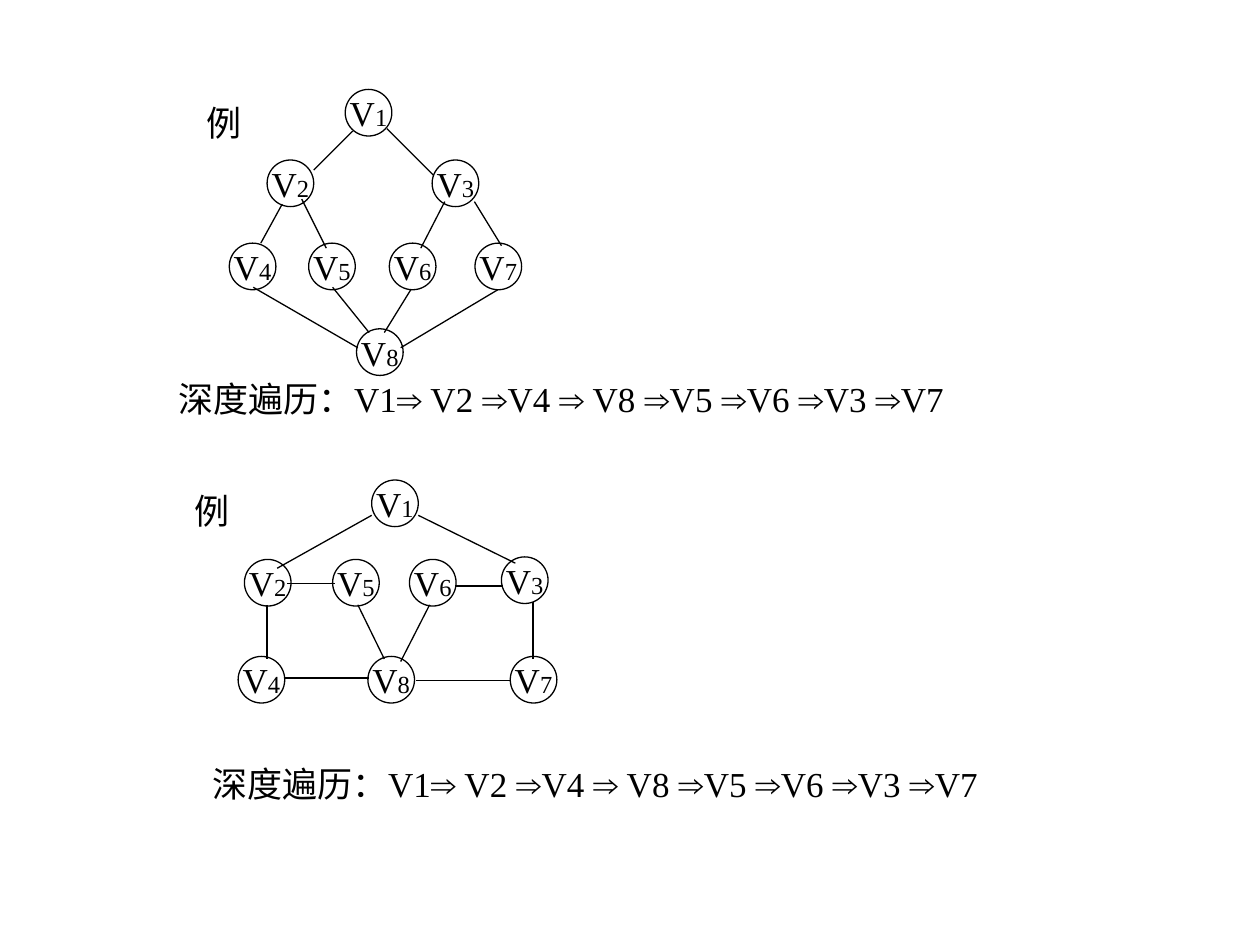
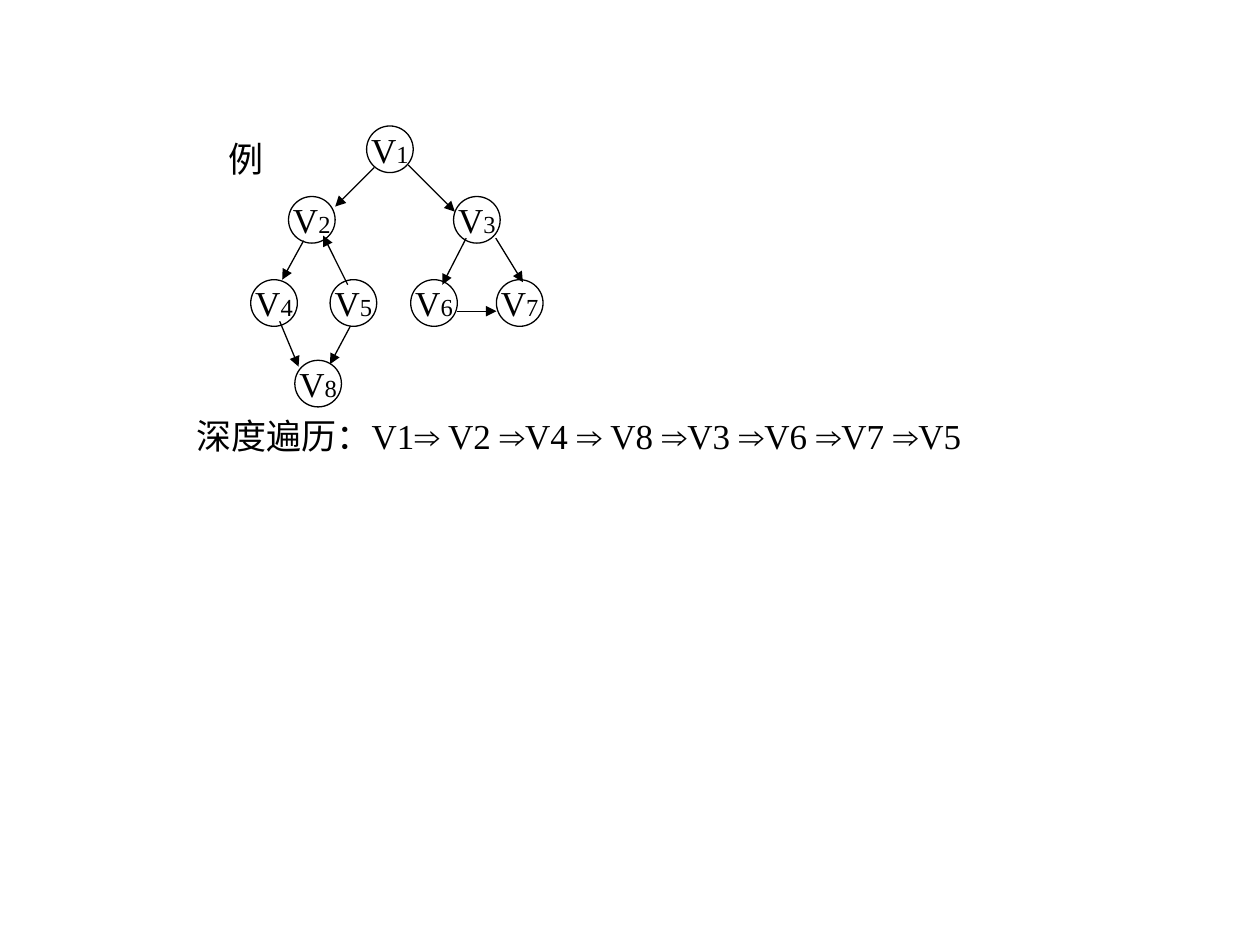
from lxml import etree
from pptx import Presentation
from pptx.dml.color import RGBColor
from pptx.enum.shapes import MSO_CONNECTOR, MSO_SHAPE
from pptx.enum.text import MSO_ANCHOR, MSO_AUTO_SIZE, PP_ALIGN
from pptx.oxml.ns import qn
from pptx.util import Inches, Pt

OVAL = MSO_SHAPE.OVAL
STRAIGHT = MSO_CONNECTOR.STRAIGHT
MIDDLE = MSO_ANCHOR.MIDDLE
CENTER, LEFT = PP_ALIGN.CENTER, PP_ALIGN.LEFT
GROW = MSO_AUTO_SIZE.SHAPE_TO_FIT_TEXT

INK = RGBColor(0x00, 0x00, 0x00)
PAPER = RGBColor(0xFF, 0xFF, 0xFF)
COLUMNS, ROWS = 100, 75
NODE_SIZE = 3.7
BLANK_LAYOUT = 6

# Graph parts in grid units, measured from the graph's "例" label
TREE_NODES = {"1": (12, -0.4), "2": (5.8, 5.2), "4": (2.8, 11.8), "5": (9.1, 11.8),
              "3": (18.9, 5.2), "7": (22.3, 11.8), "6": (15.5, 11.8)}
TREE_EDGES = [
    ((12.6, 2.9), (9.5, 6)),        # V1 - V2
    ((15.3, 2.7), (19, 6.4)),       # V1 - V3
    ((7, 8.7), (5.3, 11.8)),        # V2 - V4
    ((10.5, 12.2), (8.55, 8.3)),    # V5 - V2
    ((19.9, 8.5), (18, 12.2)),      # V3 - V6
    ((22.25, 8.5), (24.4, 12)),     # V3 - V7
]
JOINED_NODES = TREE_NODES | {"8": (12.9, 18.6)}
JOINED_EDGES = TREE_EDGES + [
    ((11, 15.3), (13.9, 18.9)),     # V5 - V8
    ((17.2, 15.5), (15.1, 18.9)),   # V6 - V8
    ((4.7, 15.3), (13, 20.1)),      # V4 - V8
    ((24.1, 15.5), (16.4, 20.1)),   # V7 - V8
]
DIRECTED_NODES = TREE_NODES | {"8": (6.3, 18.2)}
DIRECTED_EDGES = TREE_EDGES + [
    ((5.1, 15.1), (6.6, 18.7)),     # V4 - V8
    ((10.7, 15.5), (9.1, 18.5)),    # V5 - V8
    ((19.2, 14.3), (22.3, 14.3)),   # V6 - V7
]
MESH_NODES = {"1": (15.1, -0.2), "2": (5, 6.1), "4": (4.5, 13.8), "5": (12, 6.1),
              "3": (25.4, 5.9), "7": (26.1, 13.8), "6": (18.1, 6.1), "8": (14.8, 13.8)}
MESH_EDGES = [
    ((15.1, 2.6), (7.6, 6.8)),      # V1 - V2
    ((18.8, 2.6), (26.5, 6.4)),     # V1 - V3
    ((8.4, 8), (12.2, 8)),          # V2 - V5
    ((21.7, 8.2), (25.5, 8.2)),     # V6 - V3
    ((6.8, 9.7), (6.8, 14)),        # V2 - V4
    ((8.2, 15.5), (14.9, 15.5)),    # V4 - V8
    ((18.6, 15.7), (26.1, 15.7)),   # V8 - V7
    ((27.9, 9.5), (27.9, 14)),      # V3 - V7
    ((14, 9.7), (16.1, 14)),        # V5 - V8
    ((19.7, 9.7), (17.4, 14.2)),    # V6 - V8
]
UNDIRECTED_ROUTE = "深度遍历：V1⇒ V2 ⇒V4 ⇒ V8 ⇒V5 ⇒V6 ⇒V3 ⇒V7"
DIRECTED_ROUTE = "深度遍历：V1⇒ V2 ⇒V4 ⇒ V8 ⇒V3 ⇒V6 ⇒V7 ⇒V5"


class Deck:
    """Holds the style and the current slide."""
    font, symbol_font = "Times New Roman", "Arial"
    size, index_size = Pt(20), Pt(14)
    stroke = Pt(0.75)

    def __init__(self):
        self.show = Presentation()
        self.show.slide_width, self.show.slide_height = Inches(10), Inches(7.5)
        self.slide = None

    def new_slide(self):
        self.slide = self.show.slides.add_slide(self.show.slide_layouts[BLANK_LAYOUT])
        self.slide.background.fill.solid()
        self.slide.background.fill.fore_color.rgb = PAPER

    def grid(self, column, row):
        return (round(column * self.show.slide_width / COLUMNS),
                round(row * self.show.slide_height / ROWS))

    def set_runs(self, frame, pieces, align):
        """Fill a frame with (text, font name, size) pieces."""
        frame.word_wrap = False
        paragraph = frame.paragraphs[0]
        paragraph.alignment = align
        for text, name, size in pieces:
            run = paragraph.add_run()
            run.text = text
            run.font.name, run.font.size = name, size
            run.font.color.rgb = INK

    def text_box(self, at, extent, pieces, align=LEFT):
        frame = self.slide.shapes.add_textbox(*self.grid(*at), *self.grid(*extent)).text_frame
        self.set_runs(frame, pieces, align)
        frame.auto_size = GROW
        return frame

    def node(self, at, index):
        vertex = self.slide.shapes.add_shape(
            OVAL, *self.grid(*at), *self.grid(NODE_SIZE, NODE_SIZE))
        vertex.shadow.inherit = False
        vertex.fill.background()
        vertex.line.color.rgb, vertex.line.width = INK, self.stroke
        vertex.text_frame.vertical_anchor = MIDDLE
        self.set_runs(vertex.text_frame,
                      [("V", self.font, self.size), (index, self.font, self.index_size)], CENTER)

    def edge(self, start, end, directed):
        link = self.slide.shapes.add_connector(STRAIGHT, *self.grid(*start), *self.grid(*end))
        link.line.color.rgb, link.line.width = INK, self.stroke
        properties = link.element.spPr
        if directed:
            etree.SubElement(properties.find(qn("a:ln")), qn("a:tailEnd"), type="triangle")
        etree.SubElement(properties, qn("a:effectLst"))

    def graph(self, origin, nodes, edges, directed=False):
        def shift(point):
            return origin[0] + point[0], origin[1] + point[1]

        for index, at in nodes.items():
            self.node(shift(at), index)
        for start, end in edges:
            self.edge(shift(start), shift(end), directed)
        label = self.text_box(origin, (4.8, 4.4), [("例", self.font, self.size)], CENTER)
        label.vertical_anchor = MIDDLE

    def route(self, at, text):
        first, *steps = text.split("⇒")
        pieces = [(first, self.font, self.size)]
        for step in steps:
            pieces += [("⇒", self.symbol_font, self.size), (step, self.font, self.size)]
        self.text_box(at, (64.9, 4.4), pieces)


def main():
    deck = Deck()

    # Slide 1: two undirected graphs
    deck.new_slide()
    deck.graph((15.4, 7.5), JOINED_NODES, JOINED_EDGES)
    deck.graph((14.4, 38.3), MESH_NODES, MESH_EDGES)
    deck.route((13.2, 29.5), UNDIRECTED_ROUTE)
    deck.route((15.9, 60), UNDIRECTED_ROUTE)

    # Slide 2: directed graph
    deck.new_slide()
    deck.graph((17.1, 10.4), DIRECTED_NODES, DIRECTED_EDGES, directed=True)
    deck.route((14.6, 32.4), DIRECTED_ROUTE)

    deck.show.save("out.pptx")


if __name__ == "__main__":
    main()
